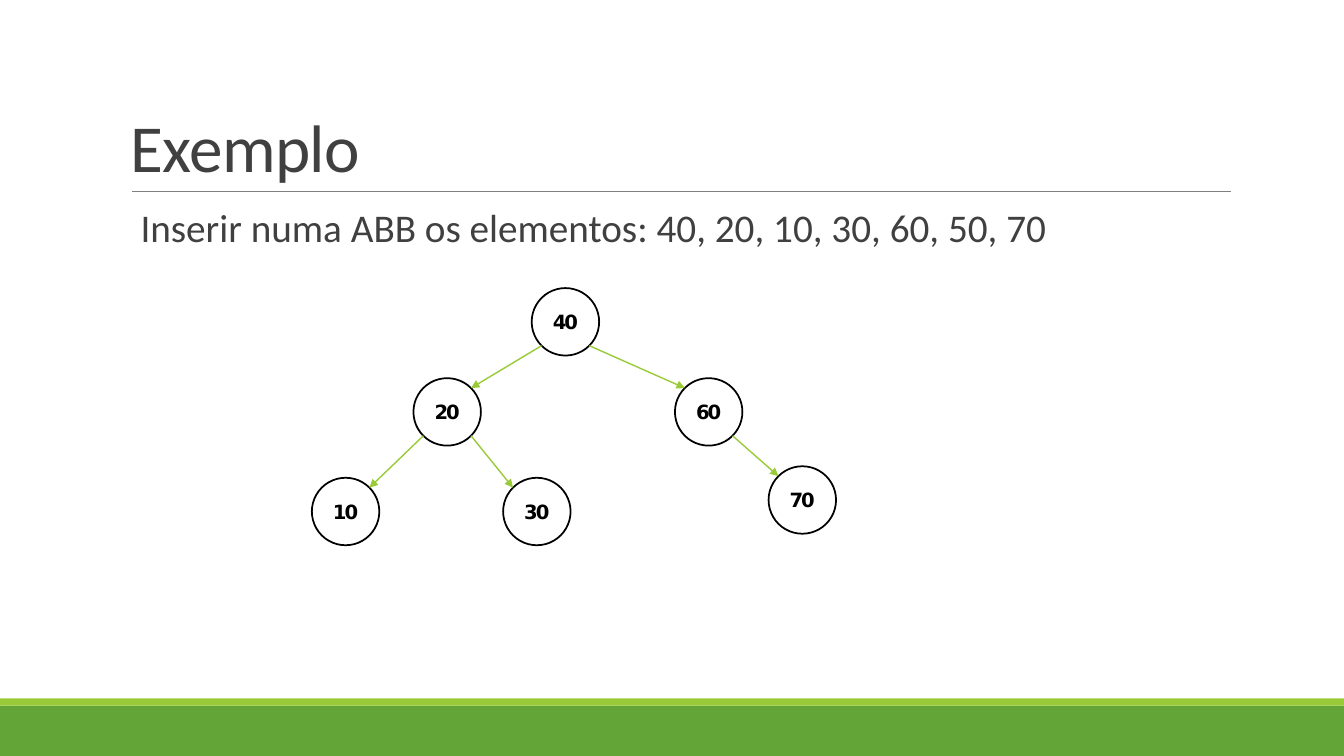
"""Build a slide that shows a binary search tree example."""
from math import sqrt

from lxml.etree import SubElement
from pptx import Presentation
from pptx.dml.color import RGBColor
from pptx.enum.shapes import MSO_CONNECTOR, MSO_SHAPE
from pptx.enum.text import MSO_ANCHOR as ANCHOR, PP_ALIGN as ALIGN
from pptx.oxml.ns import qn
from pptx.util import Cm, Pt


def rgb(color):
    return RGBColor.from_string(color)


def write(tf, text, color, spacing, font, para):
    p = tf.paragraphs[0]
    r = p.add_run()
    r.text = text
    for name, value in para.items():
        setattr(p, name, value)
    for name, value in font.items():
        setattr(r.font, name, value)
    r.font.color.rgb = rgb(color)
    r._r.get_or_add_rPr().set("spc", str(spacing))
    return p


GREEN, LIME, GRAY, INK = "63A537", "99CB38", "808080", "404040"

prs = Presentation()
prs.slide_width, prs.slide_height = Cm(33.87), Cm(19.05)
s = prs.slides.add_slide(prs.slide_layouts[6])

for top, height, color in [(17.78, 1.27, GREEN), (17.6, 0.18, LIME)]:
    sp = s.shapes.add_shape(MSO_SHAPE.RECTANGLE, 0, Cm(top), prs.slide_width, Cm(height))
    sp.shadow.inherit = False
    sp.fill.solid()
    sp.fill.fore_color.rgb = rgb(color)
    sp.line.fill.background()

tf = s.shapes.add_textbox(Cm(3.05), Cm(0.79), Cm(27.94), Cm(4.03)).text_frame
tf.word_wrap, tf.vertical_anchor = True, ANCHOR.BOTTOM
write(tf, "Exemplo", INK, -50, {"name": "Calibri", "size": Pt(48)}, {"line_spacing": 0.85})

tf = s.shapes.add_textbox(Cm(3.05), Cm(5.13), Cm(27.94), Cm(11.18)).text_frame
tf.word_wrap, tf.margin_left, tf.margin_right = True, 0, 0
p = write(tf, "Inserir numa ABB os elementos: 40, 20, 10, 30, 60, 50, 70", INK, 0,
          {"name": "Calibri", "size": Pt(28)}, {"line_spacing": 0.9, "space_after": Pt(2)})
pPr = p._p.get_or_add_pPr()
pPr.set("marL", str(Cm(0.25)))
pPr.set("indent", str(Cm(-0.25)))
SubElement(SubElement(pPr, qn("a:buClr")), qn("a:srgbClr"), val=LIME)
SubElement(pPr, qn("a:buChar"), char=" ")

DIAMETER = 1.7
nodes = {
    40: (14.25, 8.11),
    20: (11.27, 10.38),
    10: (8.71, 12.89),
    30: (13.53, 12.89),
    60: (17.86, 10.38),
    70: (20.22, 12.6),
}
for key, (x, y) in nodes.items():
    sp = s.shapes.add_shape(MSO_SHAPE.OVAL, Cm(x - DIAMETER / 2), Cm(y - DIAMETER / 2),
                            Cm(DIAMETER), Cm(DIAMETER))
    sp.shadow.inherit = False
    sp.fill.solid()
    sp.fill.fore_color.rgb = rgb("FFFFFF")
    sp.line.color.rgb = rgb("000000")
    sp.line.width = Pt(1.25)
    tf = sp.text_frame
    tf.word_wrap, tf.vertical_anchor = False, ANCHOR.MIDDLE
    tf.margin_left = tf.margin_right = tf.margin_top = tf.margin_bottom = 0
    write(tf, str(key), "000000", -150, {"name": "DejaVu Sans", "size": Pt(14), "bold": True},
          {"alignment": ALIGN.CENTER})

links = [(3.33, 4.83, 31.01, 4.83, GRAY, 0.5, False)]
offset = DIAMETER / 2 / sqrt(2)
for parent, child in [(40, 20), (20, 10), (20, 30), (40, 60), (60, 70)]:
    (x1, y1), (x2, y2) = nodes[parent], nodes[child]
    dx = offset if x2 > x1 else -offset
    links.append((x1 + dx, y1 + offset, x2 - dx, y2 - offset, LIME, 1, True))

for x1, y1, x2, y2, color, width, arrow in links:
    line = s.shapes.add_connector(MSO_CONNECTOR.STRAIGHT, Cm(x1), Cm(y1), Cm(x2), Cm(y2))
    line.line.color.rgb = rgb(color)
    line.line.width = Pt(width)
    if arrow:
        SubElement(line.line._get_or_add_ln(), qn("a:tailEnd"), type="triangle")
    SubElement(line._element.spPr, qn("a:effectLst"))

prs.save("out.pptx")
